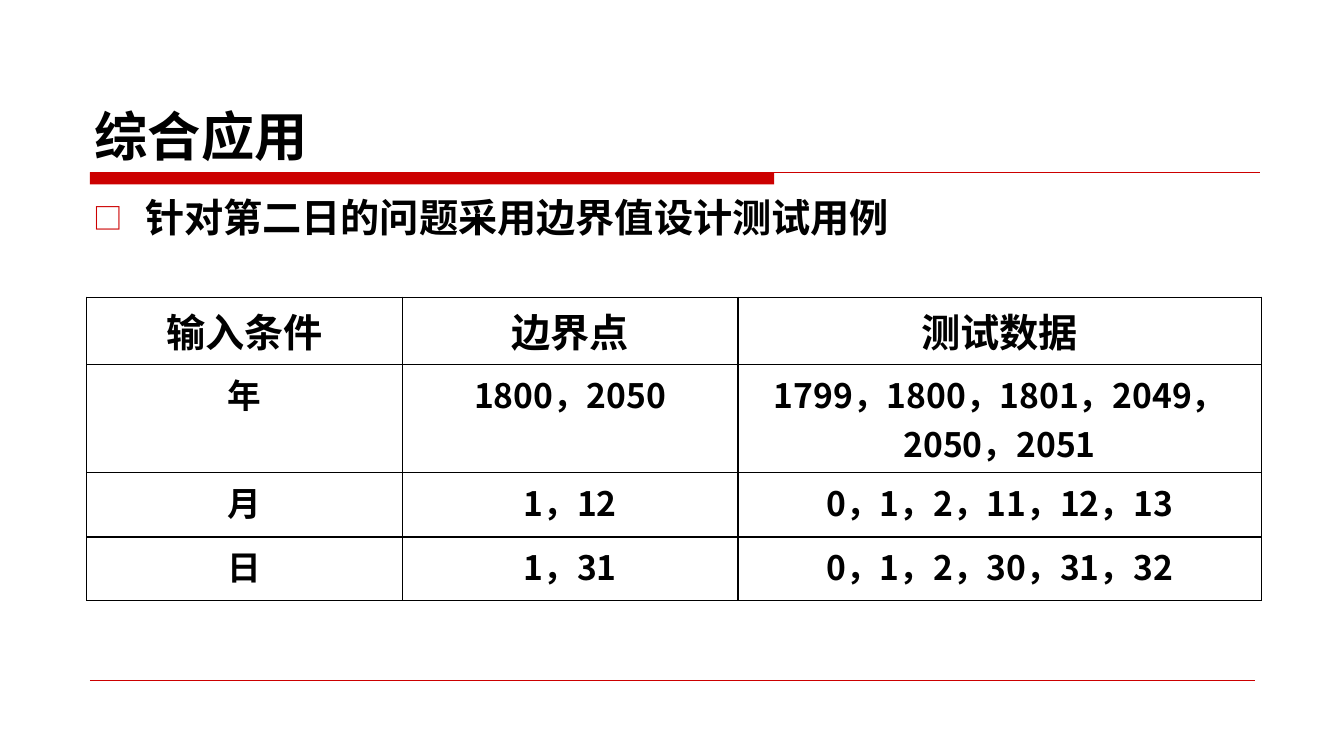
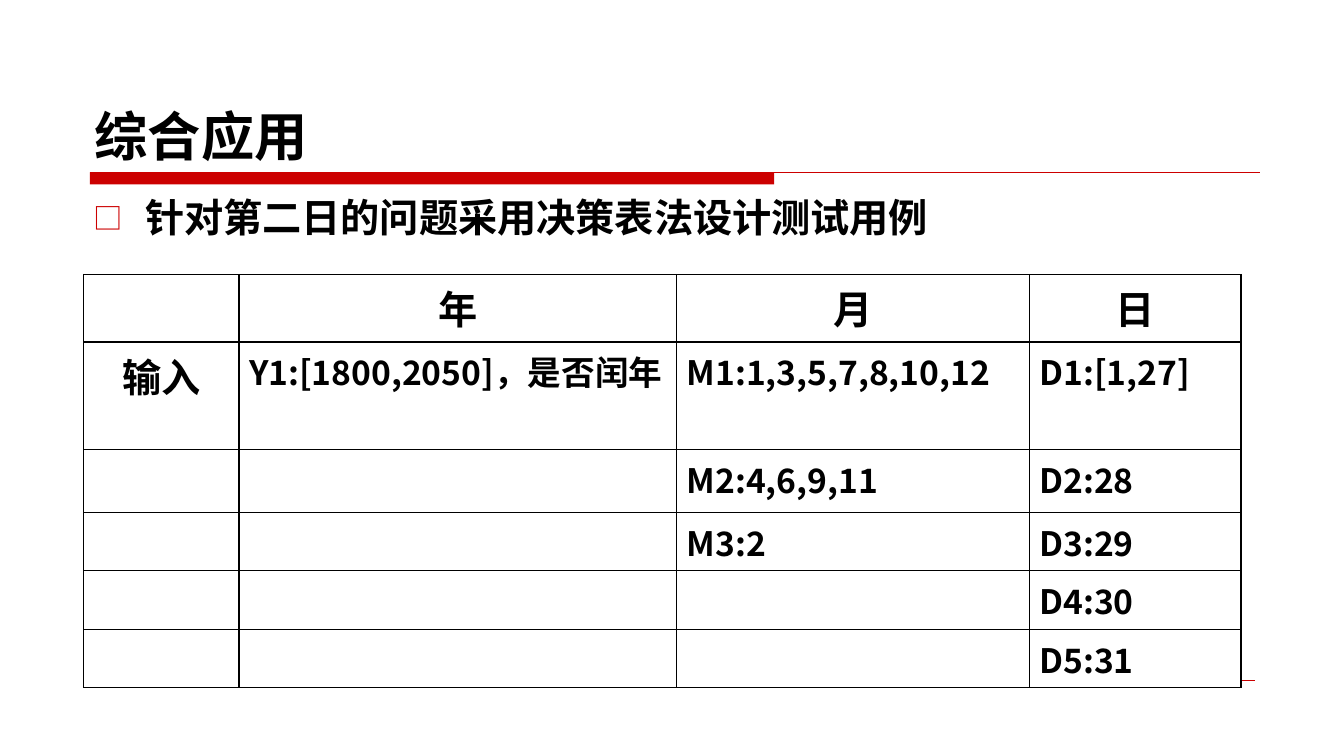
from dataclasses import dataclass

from lxml import etree
from pptx import Presentation
from pptx import util as u
from pptx.dml.color import RGBColor
from pptx.enum import shapes, text
from pptx.oxml import ns


@dataclass(frozen=True)
class Theme:
    font: str = "Noto Sans CJK SC"
    ink: str = "000000"
    paper: str = "FFFFFF"
    accent: str = "CC0000"
    title_size: int = 38
    head_size: int = 28
    cell_size: int = 24
    bullet_percent: int = 75
    title_rule: float = 0.75
    footer_rule: float = 0.25
    border: float = 1


@dataclass(frozen=True)
class Box:
    left: float
    top: float
    width: float
    height: float

    def place(self):
        return (across(self.left), down(self.top),
                across(self.width), down(self.height))


THEME = Theme()
WIDTH, HEIGHT = u.Inches(13.33), u.Inches(7.5)
TITLE = Box(6.3, 4.4, 87.55, 17.73)
BAND = Box(6.68, 22.8, 87.04, 1.6)
BODY = Box(6.23, 25.6, 87.55, 62.27)
FOOTER = Box(6.68, 90, 86.72, 0)
BAND_SHARE = 0.585


def across(percent):
    return round(WIDTH * percent / 100)


def down(percent):
    return round(HEIGHT * percent / 100)


def colour(value):
    return RGBColor.from_string(value)


def add_element(parent, tag, **attributes):
    return etree.SubElement(parent, ns.qn(tag), attributes)


def write(para, words, size):
    span = para.add_run()
    span.text = words
    span.font.size = u.Pt(size)
    span.font.bold = True
    span.font.name = THEME.font
    span.font.color.rgb = colour(THEME.ink)
    add_element(span.font._element, "a:ea", typeface=THEME.font)


def add_text(page, box, words, size, anchor):
    frame = page.shapes.add_textbox(*box.place()).text_frame
    frame.word_wrap = True
    frame.vertical_anchor = anchor
    frame.margin_top = frame.margin_bottom = 0
    para = frame.paragraphs[0]
    write(para, words, size)
    return para


def add_rule(page, box, weight):
    left, top, width, height = box.place()
    rule = page.shapes.add_connector(
        shapes.MSO_CONNECTOR.STRAIGHT, left, top, left + width, top)
    rule.line.color.rgb = colour(THEME.accent)
    rule.line.width = u.Pt(weight)
    add_element(rule._element.spPr, "a:effectLst")


def add_band(page, box):
    left, top, width, height = box.place()
    band = page.shapes.add_shape(
        shapes.MSO_SHAPE.RECTANGLE, left, top, round(width * BAND_SHARE), height)
    band.shadow.inherit = False
    band.fill.solid()
    band.fill.fore_color.rgb = colour(THEME.accent)
    band.line.fill.background()
    add_rule(page, box, THEME.title_rule)


def add_bullet(para):
    indent = u.Inches(0.51)
    properties = para._p.get_or_add_pPr()
    properties.set("marL", str(indent))
    properties.set("indent", str(-indent))
    tint = add_element(properties, "a:buClr")
    add_element(tint, "a:srgbClr", val=THEME.accent)
    add_element(properties, "a:buSzPct", val=str(THEME.bullet_percent * 1000))
    add_element(properties, "a:buFont", typeface=THEME.font)
    add_element(properties, "a:buChar", char="□")


def add_borders(cell):
    properties = cell._tc.get_or_add_tcPr()
    for index, side in enumerate(("a:lnL", "a:lnR", "a:lnT", "a:lnB")):
        edge = etree.Element(ns.qn(side), w=str(u.Pt(THEME.border)))
        fill = add_element(edge, "a:solidFill")
        add_element(fill, "a:srgbClr", val=THEME.ink)
        properties.insert(index, edge)


def fill_cell(cell, words, size, align):
    cell.fill.solid()
    cell.fill.fore_color.rgb = colour(THEME.paper)
    add_borders(cell)
    if words:
        para = cell.text_frame.paragraphs[0]
        para.alignment = align
        write(para, words, size)


def add_grid(page, box, columns, rows, content, row_heads, align):
    left, top, width, height = box.place()
    table = page.shapes.add_table(
        len(rows), len(columns), left, top, width, height).table
    table.first_row = table.horz_banding = False
    for column, share in zip(table.columns, columns):
        column.width = round(width * share / sum(columns))
    for row, share in zip(table.rows, rows):
        row.height = round(height * share / sum(rows))
    for y, line in enumerate(content):
        for x, words in enumerate(line):
            is_head = y == 0 or (row_heads and x == 0)
            size = THEME.head_size if is_head else THEME.cell_size
            fill_cell(table.cell(y, x), words, size,
                      text.PP_ALIGN.CENTER if is_head else align)


def add_page(deck, title, point, **grid):
    page = deck.slides.add_slide(deck.slide_layouts[6])
    page.background.fill.solid()
    page.background.fill.fore_color.rgb = colour(THEME.paper)
    add_band(page, BAND)
    add_rule(page, FOOTER, THEME.footer_rule)
    add_text(page, TITLE, title, THEME.title_size, text.MSO_ANCHOR.BOTTOM)
    add_bullet(add_text(page, BODY, point, THEME.head_size, text.MSO_ANCHOR.TOP))
    add_grid(page, **grid)


def main():
    deck = Presentation()
    deck.slide_width, deck.slide_height = WIDTH, HEIGHT
    add_page(
        deck, "综合应用", "针对第二日的问题采用边界值设计测试用例",
        box=Box(6.45, 39.33, 87.4, 40.1),
        columns=(3.13, 3.33, 5.19),
        rows=(0.67, 1.07, 0.64, 0.63),
        content=(
            ("输入条件", "边界点", "测试数据"),
            ("年", "1800，2050", "1799，1800，1801，2049，2050，2051"),
            ("月", "1，12", "0，1，2，11，12，13"),
            ("日", "1，31", "0，1，2，30，31，32"),
        ),
        row_heads=False, align=text.PP_ALIGN.CENTER)
    add_page(
        deck, "综合应用", "针对第二日的问题采用决策表法设计测试用例",
        box=Box(6.23, 36.3, 86.12, 54.7),
        columns=(1.54, 4.34, 3.5, 2.1),
        rows=(0.67, 1.07, 0.62, 0.58, 0.58, 0.58),
        content=(
            ("", "年", "月", "日"),
            ("输入", "Y1:[1800,2050]，是否闰年", "M1:1,3,5,7,8,10,12", "D1:[1,27]"),
            ("", "", "M2:4,6,9,11", "D2:28"),
            ("", "", "M3:2", "D3:29"),
            ("", "", "", "D4:30"),
            ("", "", "", "D5:31"),
        ),
        row_heads=True, align=text.PP_ALIGN.LEFT)
    deck.save("out.pptx")


if __name__ == "__main__":
    main()
